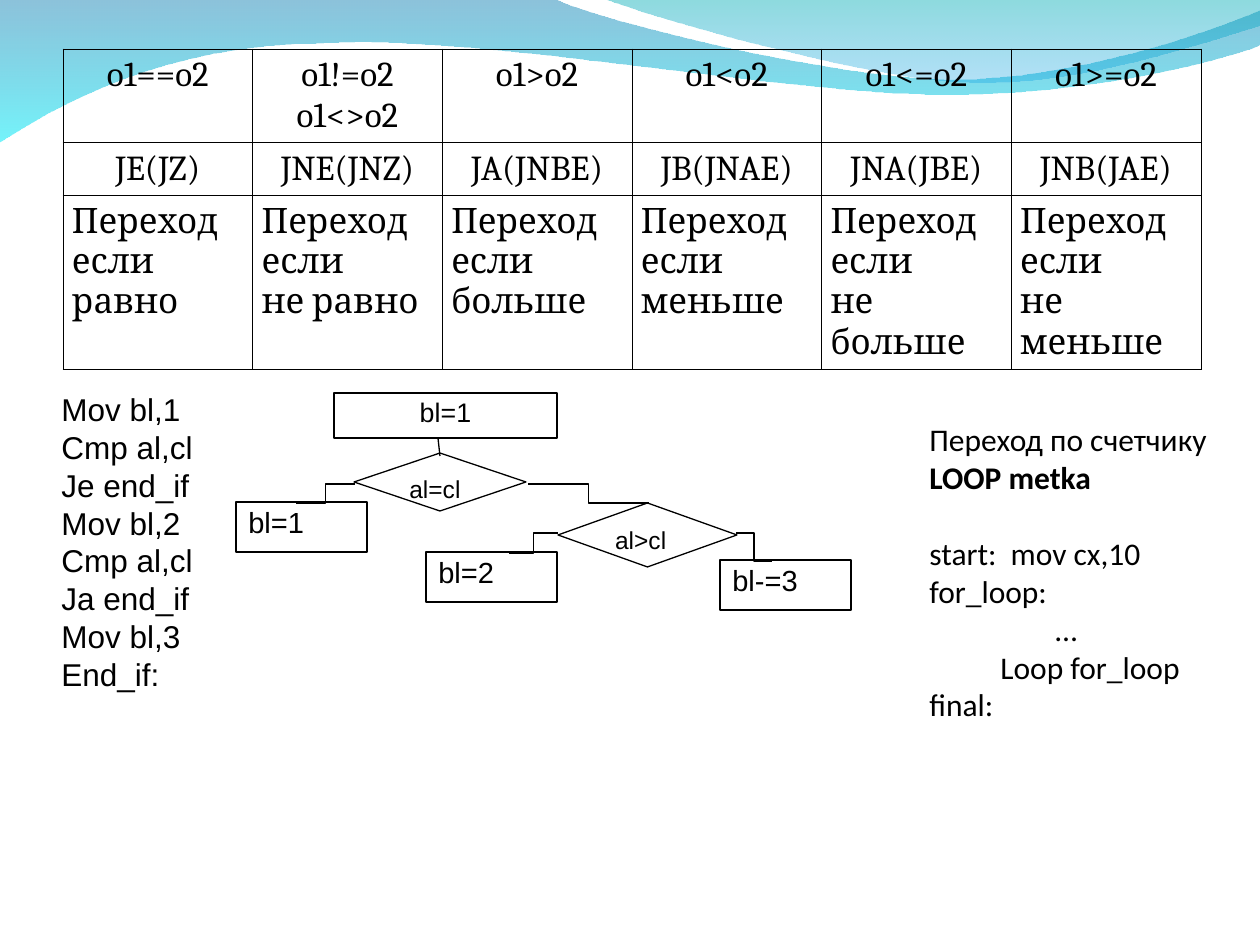
from lxml.etree import SubElement
from pptx import Presentation
from pptx.dml.color import RGBColor
from pptx.enum.shapes import MSO_CONNECTOR, MSO_SHAPE
from pptx.enum.text import MSO_ANCHOR, MSO_AUTO_SIZE, PP_ALIGN
from pptx.oxml.ns import qn
from pptx.util import Emu, Pt

PX = 914400 / 126
BLACK, WHITE = "000000", "FFFFFF"


def px(length):
    return Emu(round(length * PX))


def rgb(hex_colour):
    return RGBColor.from_string(hex_colour)


def bend_lines(path, segments):
    """Join the three lines of each curved segment into one cubic curve."""
    lines = iter(path.findall(qn("a:lnTo")))
    for segment in segments:
        parts = [next(lines) for _ in segment]
        if len(parts) == 3:
            curve = SubElement(path, qn("a:cubicBezTo"))
            parts[0].addprevious(curve)
            for part in parts:
                curve.append(part[0])
                path.remove(part)


class SlideBuilder:
    def __init__(self, slide):
        self.slide = slide
        self.diagram = slide.shapes.add_group_shape().shapes

    def format_text(self, frame, font, size, align=None, spacing=None):
        for paragraph in frame.paragraphs:
            if align is not None:
                paragraph.alignment = align
            if spacing:
                paragraph.line_spacing = spacing
            for run in paragraph.runs:
                run.font.name, run.font.size = font, Pt(size)
                run.font.color.rgb = rgb(BLACK)

    def wave(self, start, segments, stops):
        """Each segment holds one point (a line) or three (a curve)."""
        outline = self.slide.shapes.build_freeform(*start, scale=PX)
        outline.add_line_segments(sum(segments, []), close=True)
        shape = outline.convert_to_shape()
        bend_lines(next(shape._element.iter(qn("a:path"))), segments)
        shape.shadow.inherit = False
        shape.line.fill.background()
        shape.fill.gradient()
        shape.fill.gradient_angle = 270
        for stop, (colour, opacity) in zip(shape.fill.gradient_stops, stops):
            stop.color.rgb = rgb(colour)
        for colour_element, (colour, opacity) in zip(
                shape._element.spPr.iter(qn("a:srgbClr")), stops):
            SubElement(colour_element, qn("a:alpha"), val=str(opacity * 1000))

    def border(self, cell):
        properties = cell._tc.get_or_add_tcPr()
        for position, side in enumerate(("lnL", "lnR", "lnT", "lnB")):
            line = SubElement(properties, qn(f"a:{side}"), w=str(Pt(0.45)))
            properties.insert(position, line)
            fill = SubElement(line, qn("a:solidFill"))
            SubElement(fill, qn("a:srgbClr"), val=BLACK)

    def table(self, left, top, width, heights, rows, alignments):
        grid = self.slide.shapes.add_table(
            len(rows), len(rows[0]), px(left), px(top), px(width), px(sum(heights))).table
        grid.first_row = grid.horz_banding = False
        for row, height, texts, align in zip(grid.rows, heights, rows, alignments):
            row.height = px(height)
            for cell, text in zip(row.cells, texts):
                cell.margin_left = cell.margin_right = px(9)
                cell.fill.background()
                cell.text_frame.text = text
                self.format_text(cell.text_frame, "Cambria", 20, align)
                self.border(cell)

    def code(self, left, top, width, height, lines, font, wrap=True):
        box = self.slide.shapes.add_textbox(px(left), px(top), px(width), px(height))
        frame = box.text_frame
        frame.word_wrap = wrap
        frame.auto_size = MSO_AUTO_SIZE.SHAPE_TO_FIT_TEXT
        frame.text = "\n".join(lines)
        for paragraph in frame.paragraphs:
            if "\t" in paragraph.text:
                tabs = SubElement(paragraph._p.get_or_add_pPr(), qn("a:tabLst"))
                SubElement(tabs, qn("a:tab"), pos=str(px(126)), algn="l")
        self.format_text(frame, font, 18)
        return frame.paragraphs

    def block(self, kind, left, top, width, height, text, size, align=PP_ALIGN.LEFT,
              spacing=None):
        shape = self.diagram.add_shape(kind, px(left), px(top), px(width), px(height))
        shape.shadow.inherit = False
        shape.fill.solid()
        shape.fill.fore_color.rgb = rgb(WHITE)
        shape.line.color.rgb = rgb(BLACK)
        shape.line.width = Pt(0.75)
        frame = shape.text_frame
        frame.word_wrap = True
        frame.vertical_anchor = MSO_ANCHOR.TOP
        frame.text = text
        self.format_text(frame, "Arial", size, align, spacing)

    def process(self, left, top, width, height, text, size=16.6, align=PP_ALIGN.LEFT):
        self.block(MSO_SHAPE.FLOWCHART_PROCESS, left, top, width, height, text, size,
                   align, 0.9)

    def decision(self, left, top, width, height, text):
        self.block(MSO_SHAPE.FLOWCHART_DECISION, left, top, width, height, text, 14)

    def link(self, kind, *ends):
        line = self.diagram.add_connector(kind, *map(px, ends))
        line.line.color.rgb = rgb(BLACK)
        line.line.width = Pt(0.75)
        SubElement(line._element.spPr, qn("a:effectLst"))


def main():
    deck = Presentation()
    deck.slide_width, deck.slide_height = px(1260), px(945)
    page = SlideBuilder(deck.slides.add_slide(deck.slide_layouts[6]))

    # Waves along the top
    page.wave((0, -1), [
        [(554, -1)],
        [(600, 21), (837, 79), (955, 79)],
        [(1074, 79), (1207, 33), (1260, 11)],
        [(1261, 45)],
        [(1239, 55), (1096, 96), (940, 94)],
        [(784, 94), (481, 35), (324, 43)],
        [(163, 44), (58, 105), (-1, 142)],
    ], [("0079AF", 45), ("00EBF8", 55)])
    page.wave((604, -1), [
        [(641, 14), (859, 78), (969, 82)],
        [(1079, 87), (1211, 40), (1260, 26)],
        [(1260, 0)],
    ], [("00ADB6", 45), ("009BE5", 30)])

    # Conditional jumps
    page.table(63, 49, 1138, (84, 42, 168), [
        ("o1==o2", "o1!=o2\no1<>o2", "o1>o2", "o1<o2", "o1<=o2", "o1>=o2"),
        ("JE(JZ)", "JNE(JNZ)", "JA(JNBE)", "JB(JNAE)", "JNA(JBE)", "JNB(JAE)"),
        ("Переход если равно", "Переход если\nне равно", "Переход если больше",
         "Переход если меньше", "Переход если\nне больше", "Переход если\nне меньше"),
    ], (PP_ALIGN.CENTER, PP_ALIGN.CENTER, PP_ALIGN.JUSTIFY))

    # Counter loop
    loop_lines = page.code(917, 414, 304, 353, [
        "Переход по счетчику", "LOOP metka", "start:  mov cx,10", "for_loop:",
        "\t…", "          Loop for_loop", "final:"], "Calibri", wrap=False)
    loop_lines[1].runs[0].font.bold = True
    loop_lines[2].space_before = Pt(22)

    # Branching code
    page.code(49, 384, 246, 353, [
        "Mov bl,1", "Cmp al,cl", "Je end_if", "Mov bl,2", "Cmp al,cl", "Ja end_if",
        "Mov bl,3", "End_if:"], "Arial")

    # Flowchart blocks
    page.process(334, 393, 223, 45, "bl=1", 15.3, PP_ALIGN.CENTER)
    page.decision(354, 453, 172, 58, "al=cl")
    page.decision(558, 503, 179, 64, "al>cl")
    for left, top, text in ((236, 502, "bl=1"), (426, 552, "bl=2"), (720, 560, "bl-=3")):
        page.process(left, top, 131, 50, text)

    # Flowchart links
    page.link(MSO_CONNECTOR.STRAIGHT, 438, 438, 440, 456)
    for ends in ((296, 503, 355, 484), (558, 533, 509, 553),
                 (736, 533, 772, 561), (649, 503, 528, 484)):
        page.link(MSO_CONNECTOR.ELBOW, *ends)

    deck.save("out.pptx")


if __name__ == "__main__":
    main()
